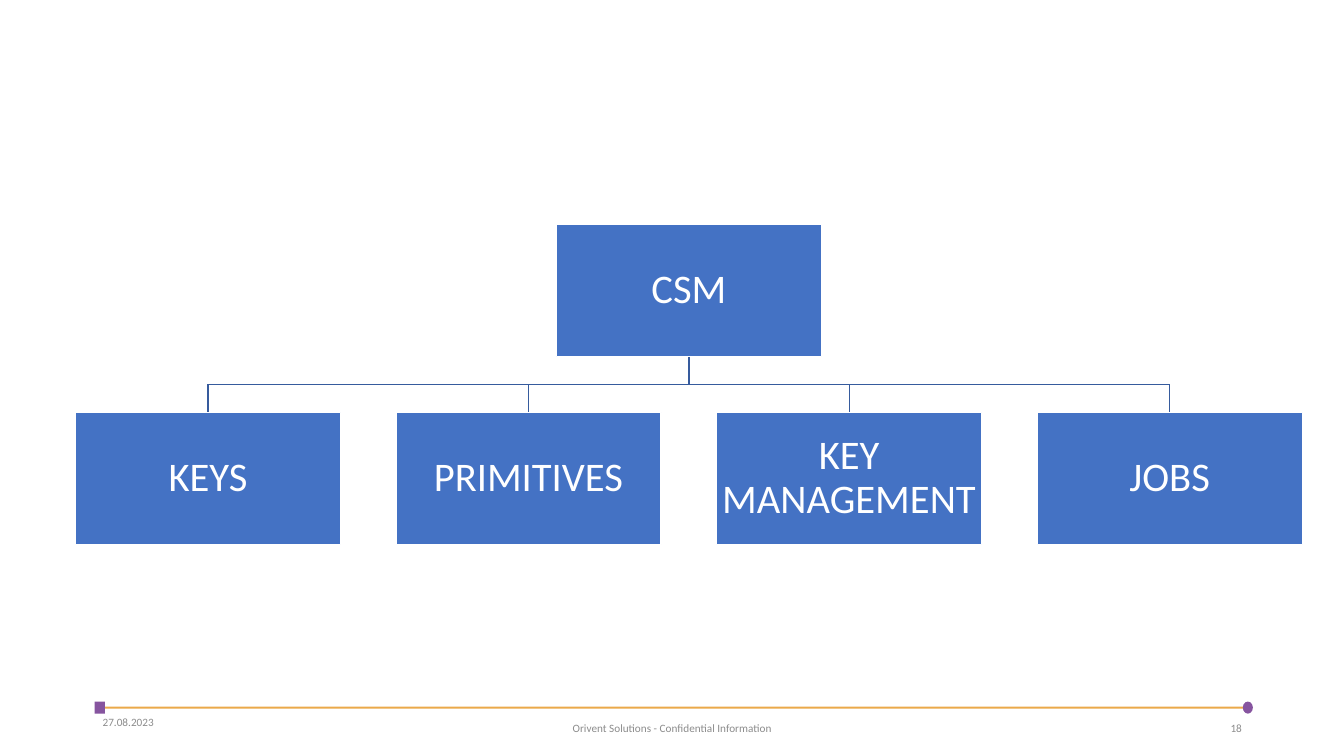
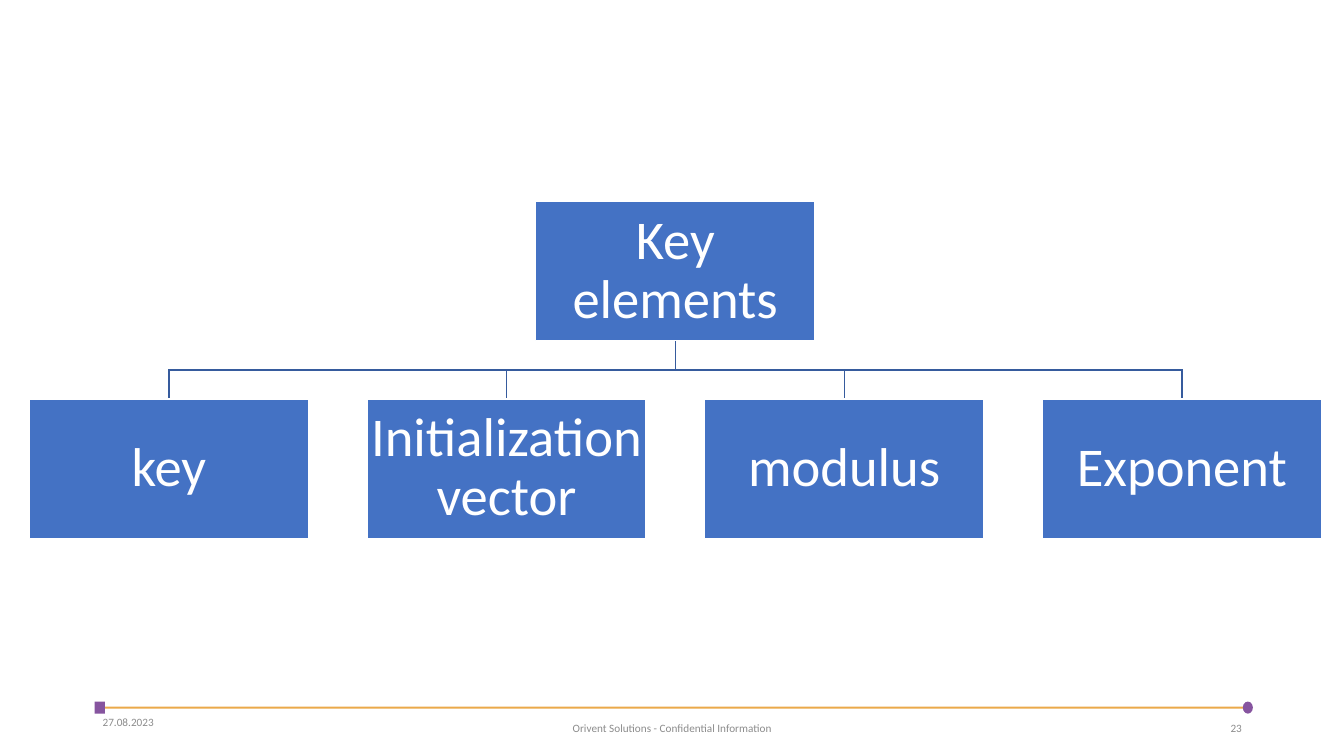
from dataclasses import dataclass

from lxml import etree
from pptx import Presentation
from pptx.dml.color import RGBColor
from pptx.enum.shapes import MSO_SHAPE
from pptx.enum.text import MSO_ANCHOR, PP_ALIGN
from pptx.oxml.ns import qn
from pptx.util import Inches, Pt

RECTANGLE, OVAL = MSO_SHAPE.RECTANGLE, MSO_SHAPE.OVAL
MIDDLE = MSO_ANCHOR.MIDDLE
LEFT, CENTER, RIGHT = PP_ALIGN.LEFT, PP_ALIGN.CENTER, PP_ALIGN.RIGHT


@dataclass(frozen=True)
class Theme:
    font: str = "Calibri"
    footer_size: int = 8
    node: str = "4472C4"
    node_text: str = "FFFFFF"
    branch: str = "365B9D"
    rule: str = "EBA94A"
    marker: str = "86549F"
    footer: str = "8C8C8C"


THEME = Theme()

DATE = "27.08.2023"
NOTICE = "Orivent Solutions - Confidential Information"

CHARTS = [
    {"number": "18", "root": "CSM",
     "children": ["KEYS", "PRIMITIVES", "KEY MANAGEMENT", "JOBS"],
     "left": 0.75, "top": 2.23, "width": 2.63, "height": 1.31, "gap": 0.55,
     "size": 29, "inset": 0.02},
    {"number": "23", "root": "Key elements",
     "children": ["key", "Initialization vector", "modulus", "Exponent"],
     "left": 0.29, "top": 2.0, "width": 2.77, "height": 1.38, "gap": 0.58,
     "size": 39, "inset": 0.03},
]


def write(box, text, *, size, color, align=LEFT, inset=(0.1, 0.05), spacing=1.0):
    frame = box.text_frame
    frame.word_wrap = True
    frame.vertical_anchor = MIDDLE
    frame.margin_left = frame.margin_right = Inches(inset[0])
    frame.margin_top = frame.margin_bottom = Inches(inset[1])
    para = frame.paragraphs[0]
    para.alignment = align
    para.line_spacing = spacing
    span = para.add_run()
    span.text = text
    span.font.name = THEME.font
    span.font.size = Pt(size)
    span.font.color.rgb = RGBColor.from_string(color)


def set_line(shape, color):
    shape.line.color.rgb = RGBColor.from_string(color)
    shape.line.width = Pt(1)


def add_block(page, kind, left, top, width, height, fill, outline=None):
    block = page.shapes.add_shape(
        kind, Inches(left), Inches(top), Inches(width), Inches(height))
    block.shadow.inherit = False
    block.fill.solid()
    block.fill.fore_color.rgb = RGBColor.from_string(fill)
    if outline:
        set_line(block, outline)
    else:
        block.line.fill.background()
    return block


def add_branch(page, start, end):
    """Draw an open elbow that goes down, across and down again."""
    (x1, y1), (x2, y2) = start, end
    bend = (y1 + y2) / 2
    corners = [(x1, bend), (x2, bend), (x2, y2)]
    builder = page.shapes.build_freeform(Inches(x1), Inches(y1))
    builder.add_line_segments(
        [(Inches(x), Inches(y)) for x, y in corners], close=False)
    branch = builder.convert_to_shape()
    branch.shadow.inherit = False
    branch.fill.background()
    set_line(branch, THEME.branch)
    outline = branch.line._get_or_add_ln()
    etree.SubElement(outline, qn("a:miter")).set("lim", "800000")


def add_footer(page, number):
    add_block(page, RECTANGLE, 0.99, 7.01, 11.39, 0.02, THEME.rule)
    add_block(page, RECTANGLE, 0.94, 6.96, 0.1, 0.12, THEME.marker)
    add_block(page, OVAL, 12.33, 6.96, 0.1, 0.12, THEME.marker)
    for text, left, top, width, align in [
        (DATE, 0.92, 7.04, 3, LEFT),
        (NOTICE, 4.42, 7.1, 4.5, CENTER),
        (number, 9.42, 7.1, 3, RIGHT),
    ]:
        box = page.shapes.add_textbox(
            Inches(left), Inches(top), Inches(width), Inches(0.25))
        write(box, text, size=THEME.footer_size, color=THEME.footer, align=align)


def add_tree(page, chart):
    """Draw a root centred over one evenly spaced row of children."""
    width, height, gap = chart["width"], chart["height"], chart["gap"]
    lefts = [chart["left"] + i * (width + gap) for i in range(len(chart["children"]))]
    root_left = (lefts[0] + lefts[-1]) / 2
    root_bottom = chart["top"] + height
    row_top = root_bottom + gap
    half = width / 2

    for left in reversed(lefts):
        add_branch(page, (root_left + half, root_bottom), (left + half, row_top))

    nodes = [(chart["root"], root_left, chart["top"])]
    nodes += [(text, left, row_top) for text, left in zip(chart["children"], lefts)]
    for text, left, top in nodes:
        node = add_block(page, RECTANGLE, left, top, width, height,
                         THEME.node, outline=THEME.node_text)
        write(node, text, size=chart["size"], color=THEME.node_text, align=CENTER,
              inset=(chart["inset"], chart["inset"]), spacing=0.9)


def main():
    deck = Presentation()
    deck.slide_width, deck.slide_height = Inches(40) // 3, Inches(7.5)
    blank = deck.slide_layouts[6]
    for chart in CHARTS:
        page = deck.slides.add_slide(blank)
        add_footer(page, chart["number"])
        add_tree(page, chart)
    deck.save("out.pptx")


if __name__ == "__main__":
    main()
